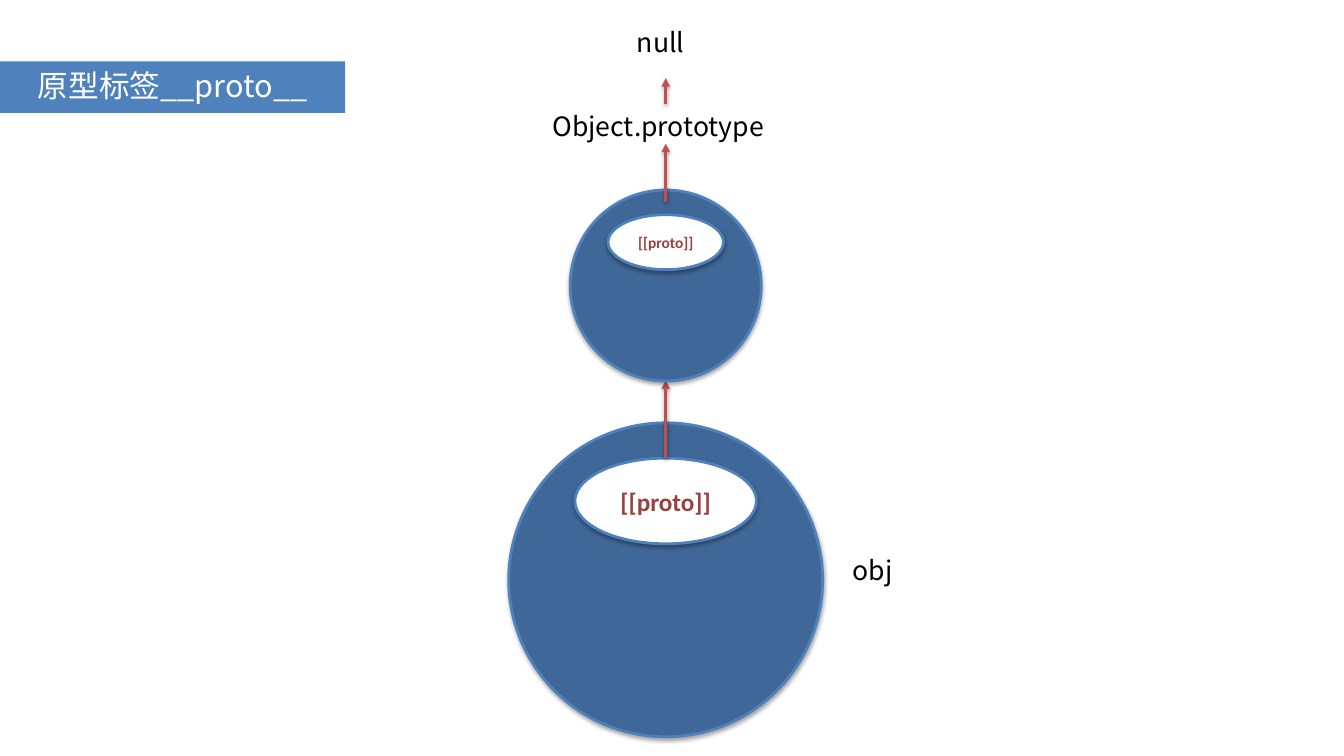
from typing import NamedTuple

from lxml.etree import SubElement
from pptx import Presentation
from pptx.dml.color import RGBColor
from pptx.enum.shapes import MSO_CONNECTOR, MSO_SHAPE
from pptx.enum.text import MSO_ANCHOR, MSO_AUTO_SIZE, PP_ALIGN
from pptx.oxml.ns import qn
from pptx.util import Pt

PX = 9144  # 100 px to the inch
AXIS = 1321  # the prototype chain runs up this vertical line
CJK = "Noto Sans CJK SC"
COLORS = {
    "banner": "4F81BD",
    "object": "3F6797",
    "outline": "4F81BD",
    "arrow": "C0504D",
    "slot": "9A403E",
    "white": "FFFFFF",
    "black": "000000",
}


class Label(NamedTuple):
    text: str
    left: int
    top: int
    width: int
    spacing: float
    align: PP_ALIGN


class Ellipse(NamedTuple):
    top: int
    width: int
    height: int
    fill: str
    text: str = ""
    size: int = 0


class Arrow(NamedTuple):
    start: int
    end: int


OBJ = Label("obj", 1680, 1106, 103, 0.9, PP_ALIGN.CENTER)
OBJECT_PROTOTYPE = Label("Object.prototype", 1096, 206, 452, 1.2, PP_ALIGN.LEFT)
NULL = Label("null", 1264, 38, 115, 1.2, PP_ALIGN.LEFT)

OBJ_CIRCLE = Ellipse(839, 623, 623, "object")
OBJ_SLOT = Ellipse(909, 360, 170, "white", "[[proto]]", 36)
PARENT_CIRCLE = Ellipse(377, 379, 379, "object")
PARENT_SLOT = Ellipse(426, 229, 109, "white", "[[proto]]", 22)


def rgb(name: str) -> RGBColor:
    return RGBColor.from_string(COLORS[name])


def clear_margins(frame) -> None:
    frame.margin_left = frame.margin_right = 0
    frame.margin_top = frame.margin_bottom = 0


def style_text(paragraph, face: str, size: float, color: str, bold: bool = False) -> None:
    for run in paragraph.runs:
        run.font.size = Pt(size)
        run.font.bold = bold
        run.font.color.rgb = rgb(color)
        run.font.name = face
        SubElement(run.font._element, qn("a:ea"), typeface=face)


def add_shadow(shape, opacity: int) -> None:
    """Drop a soft shadow straight down; call once fill and line are set."""
    effects = SubElement(shape._element.spPr, qn("a:effectLst"))
    shadow = SubElement(effects, qn("a:outerShdw"), blurRad=str(Pt(6)),
                        dist=str(Pt(3)), dir="5400000", rotWithShape="0")
    color = SubElement(shadow, qn("a:srgbClr"), val=COLORS["black"])
    SubElement(color, qn("a:alpha"), val=str(opacity * 1000))


def set_banner(title) -> None:
    title.left, title.top, title.width, title.height = 0, 122 * PX, 685 * PX, 102 * PX
    title.fill.solid()
    title.fill.fore_color.rgb = rgb("banner")
    frame = title.text_frame
    frame.text = "原型标签__proto__"
    frame.auto_size = MSO_AUTO_SIZE.NONE
    frame.vertical_anchor = MSO_ANCHOR.MIDDLE
    clear_margins(frame)
    heading = frame.paragraphs[0]
    heading.alignment = PP_ALIGN.CENTER
    heading.line_spacing = 0.9
    style_text(heading, CJK, 43.8, "white")


def add_label(shapes, label: Label) -> None:
    box = shapes.add_textbox(label.left * PX, label.top * PX, label.width * PX, 89 * PX)
    frame = box.text_frame
    frame.text = label.text
    frame.word_wrap = False
    frame.auto_size = MSO_AUTO_SIZE.SHAPE_TO_FIT_TEXT
    clear_margins(frame)
    line = frame.paragraphs[0]
    line.alignment = label.align
    line.line_spacing = label.spacing
    style_text(line, CJK, 38, "black")


def add_ellipse(shapes, ellipse: Ellipse):
    """Draw an ellipse centred on the chain's axis."""
    left = AXIS * PX - ellipse.width * PX // 2
    oval = shapes.add_shape(MSO_SHAPE.OVAL, left, ellipse.top * PX,
                            ellipse.width * PX, ellipse.height * PX)
    oval.fill.solid()
    oval.fill.fore_color.rgb = rgb(ellipse.fill)
    oval.line.color.rgb = rgb("outline")
    oval.line.width = Pt(4)
    add_shadow(oval, 35)
    if ellipse.text:
        frame = oval.text_frame
        frame.text = ellipse.text
        frame.word_wrap = False
        frame.vertical_anchor = MSO_ANCHOR.MIDDLE
        clear_margins(frame)
        frame.paragraphs[0].alignment = PP_ALIGN.CENTER
        style_text(frame.paragraphs[0], "Calibri", ellipse.size, "slot", bold=True)
    return oval


def add_arrow(shapes, arrow: Arrow):
    link = shapes.add_connector(MSO_CONNECTOR.STRAIGHT, AXIS * PX, arrow.start * PX,
                                AXIS * PX, arrow.end * PX)
    link.line.color.rgb = rgb("arrow")
    link.line.width = Pt(4)
    SubElement(link.line._get_or_add_ln(), qn("a:tailEnd"), type="triangle")
    add_shadow(link, 38)
    return link


def main() -> None:
    deck = Presentation()
    deck.slide_width, deck.slide_height = 2667 * PX, 1500 * PX
    slide = deck.slides.add_slide(deck.slide_layouts[5])
    shapes = slide.shapes

    set_banner(shapes.title)
    add_label(shapes, OBJ)
    add_ellipse(shapes, OBJ_CIRCLE)
    obj_slot = add_ellipse(shapes, OBJ_SLOT)
    to_parent = add_arrow(shapes, Arrow(OBJ_SLOT.top, 755))
    to_parent.begin_connect(obj_slot, 0)

    add_label(shapes, OBJECT_PROTOTYPE)
    add_ellipse(shapes, PARENT_CIRCLE)
    add_arrow(shapes, Arrow(400, 285))
    add_ellipse(shapes, PARENT_SLOT)
    add_arrow(shapes, Arrow(206, 155))
    add_label(shapes, NULL)

    deck.save("out.pptx")


if __name__ == "__main__":
    main()
